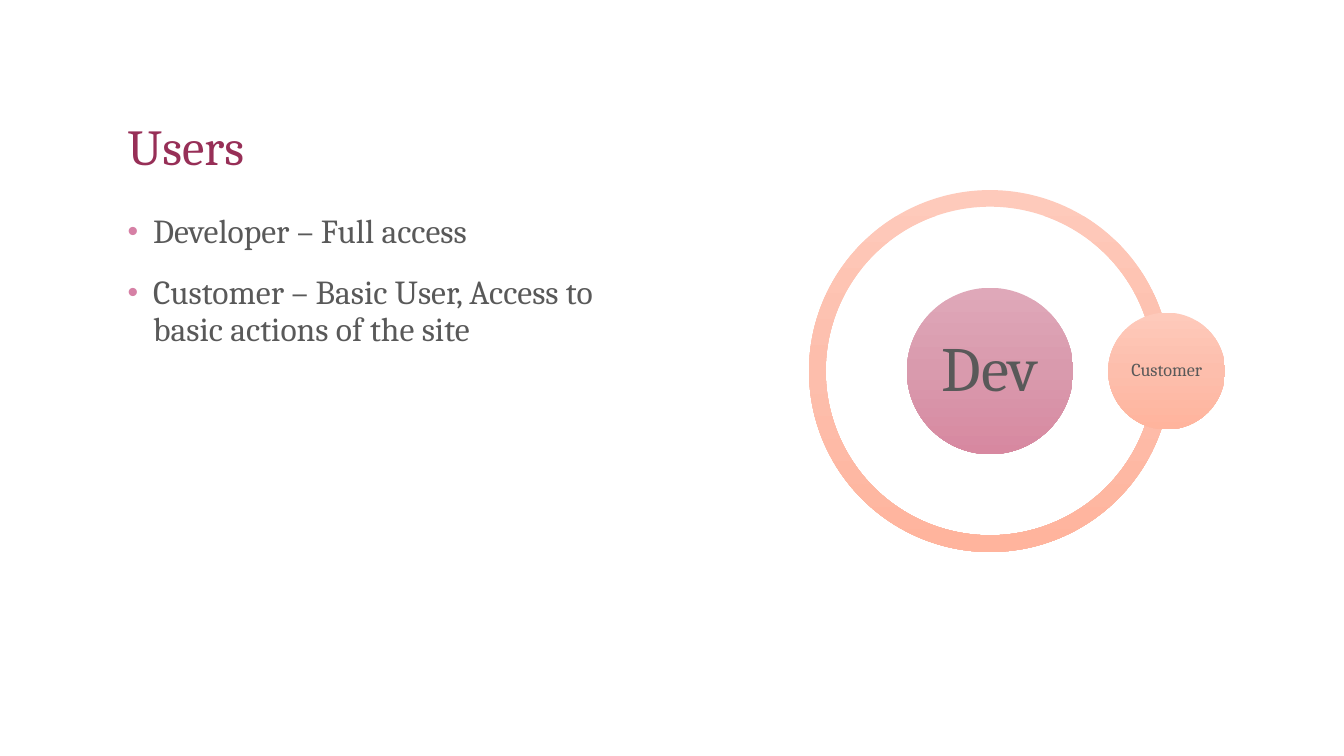
from copy import deepcopy
from dataclasses import dataclass

from lxml.etree import SubElement
from pptx import Presentation
from pptx.dml.color import RGBColor
from pptx.enum.shapes import MSO_SHAPE as Preset
from pptx.enum.text import MSO_ANCHOR as Anchor, PP_ALIGN as Align
from pptx.oxml.ns import qn
from pptx.util import Cm, Pt


@dataclass(frozen=True)
class Theme:
    """Colours, font and type sizes of the slide."""
    font: str = "Cambria"
    heading: str = "972F57"
    ink: str = "595959"
    bullet: str = "D680A5"
    peach: tuple = ("FECABB", "FDBEAC", "FFB49D")
    rose: tuple = ("DFA8B9", "D99AAD", "D788A0")
    title_size: int = 36
    body_size: int = 24
    core_size: int = 45
    satellite_size: int = 13


THEME = Theme()


def write(paragraph, text, size, colour):
    """Add one styled run to a paragraph."""
    paragraph.line_spacing = 0.9
    run = paragraph.add_run()
    run.text = text
    run.font.name = THEME.font
    run.font.size = Pt(size)
    run.font.color.rgb = RGBColor.from_string(colour)


def add_bullet(paragraph):
    """Give a paragraph a hanging coloured bullet."""
    props = paragraph._p.get_or_add_pPr()
    props.set("marL", str(Cm(0.64)))
    props.set("indent", str(-Cm(0.64)))
    SubElement(SubElement(props, qn("a:buClr")), qn("a:srgbClr"), val=THEME.bullet)
    SubElement(props, qn("a:buSzPct"), val="90000")
    SubElement(props, qn("a:buFont"), typeface="Arial")
    SubElement(props, qn("a:buChar"), char="•")


def add_title(slide, left, top, width, height, heading):
    """Place the heading at the foot of its box."""
    frame = slide.shapes.add_textbox(Cm(left), Cm(top), Cm(width), Cm(height)).text_frame
    frame.word_wrap = True
    frame.vertical_anchor = Anchor.BOTTOM
    write(frame.paragraphs[0], heading, THEME.title_size, THEME.heading)


def add_roles(slide, left, top, width, height, roles):
    """Place the bulleted list of user roles."""
    frame = slide.shapes.add_textbox(Cm(left), Cm(top), Cm(width), Cm(height)).text_frame
    frame.word_wrap = True
    for index, role in enumerate(roles):
        paragraph = frame.add_paragraph() if index else frame.paragraphs[0]
        add_bullet(paragraph)
        if index:
            paragraph.space_before = Pt(18)
        write(paragraph, role, THEME.body_size, THEME.ink)


def add_round(slide, preset, centre_x, centre_y, diameter, colours):
    """Draw a round shape about its centre, shaded from top to bottom."""
    left, top = centre_x - diameter / 2, centre_y - diameter / 2
    disc = slide.shapes.add_shape(preset, Cm(left), Cm(top), Cm(diameter), Cm(diameter))
    disc.shadow.inherit = False
    disc.line.fill.background()
    disc.fill.gradient()
    disc.fill.gradient_angle = 270
    first_stop = disc._element.spPr.find(".//" + qn("a:gs"))
    first_stop.addnext(deepcopy(first_stop))
    for stop, position, colour in zip(disc.fill.gradient_stops, (0, 0.5, 1), colours):
        stop.position = position
        stop.color.rgb = RGBColor.from_string(colour)
    return disc


def label(disc, text, size, inset):
    """Centre a label in a disc."""
    frame = disc.text_frame
    frame.word_wrap = True
    frame.vertical_anchor = Anchor.MIDDLE
    frame.margin_left = frame.margin_right = Cm(inset)
    frame.margin_top = frame.margin_bottom = Cm(inset)
    frame.paragraphs[0].alignment = Align.CENTER
    write(frame.paragraphs[0], text, size, THEME.ink)


def add_orbit(slide, left, top, diameter, core_name, satellite_name):
    """Draw the core user, with the other user on a ring around it."""
    centre_x, centre_y = left + diameter / 2, top + diameter / 2
    ring = add_round(slide, Preset.BLOCK_ARC, centre_x, centre_y, diameter, THEME.peach)
    for index, value in enumerate((0.121, 215.879, 0.046)):
        ring.adjustments[index] = value
    core = add_round(slide, Preset.OVAL, centre_x, centre_y, diameter * 0.46, THEME.rose)
    label(core, core_name, THEME.core_size, 0.15)
    orbit_radius = diameter * 0.488
    satellite = add_round(slide, Preset.OVAL, centre_x + orbit_radius, centre_y,
                          diameter * 0.323, THEME.peach)
    label(satellite, satellite_name, THEME.satellite_size, 0.05)


def main():
    """Build and save the slide."""
    deck = Presentation()
    deck.slide_width, deck.slide_height = Cm(33.87), Cm(19.05)
    slide = deck.slides.add_slide(deck.slide_layouts[6])
    margin = 2.97
    add_title(slide, margin, 1.27, 27.94, 3.3, "Users")
    add_roles(slide, margin, 5.28, 13.34, 11.86, (
        "Developer – Full access",
        "Customer – Basic User, Access to basic actions of the site",
    ))
    add_orbit(slide, 20.39, 4.79, 9.12, "Dev", "Customer")
    deck.save("out.pptx")


if __name__ == "__main__":
    main()
